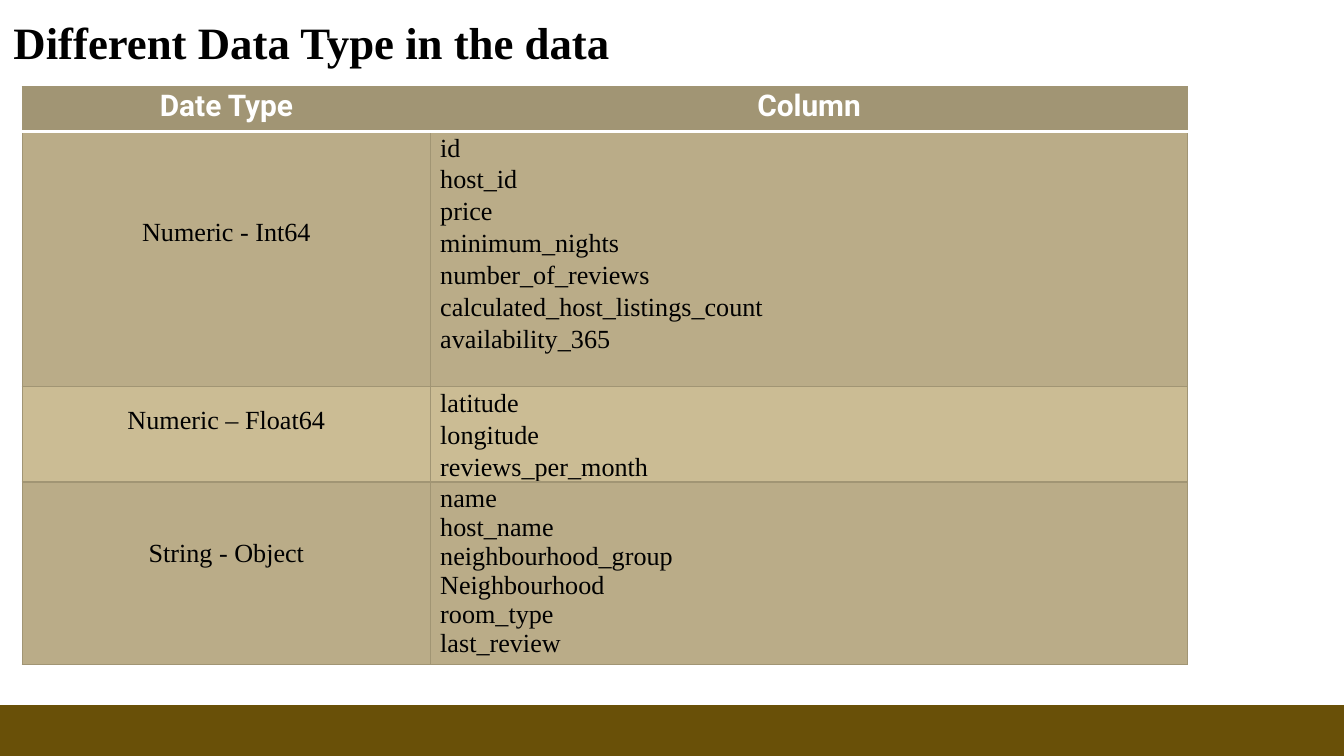
from lxml import etree
from pptx import Presentation
from pptx.dml.color import RGBColor
from pptx.enum import shapes, text
from pptx.oxml import ns
from pptx.util import Cm, Pt

COLORS = {"header": "A19574", "dark": "BAAC88", "light": "CBBC94",
          "bar": "695008", "white": "FFFFFF", "black": "000000"}
TITLE = "Different Data Type in the data"
HEADINGS = ("Date Type", "Column")
# label, label top margin (cm), row height (cm), fill, space between names (pt), names
TYPES = [
    ("Numeric - Int64", 1.64, 4.83, "dark", 1.6,
     ["id", "host_id", "price", "minimum_nights", "number_of_reviews",
      "calculated_host_listings_count", "availability_365"]),
    ("Numeric – Float64", 0.37, 1.8, "light", 1.6,
     ["latitude", "longitude", "reviews_per_month"]),
    ("String - Object", 1.09, 3.45, "dark", 0,
     ["name", "host_name", "neighbourhood_group", "Neighbourhood",
      "room_type", "last_review"]),
]
HEADER_HEIGHT = 0.84
COLUMN_WIDTHS = (7.72, 14.3)


def rgb(name):
    """Return the named colour."""
    return RGBColor.from_string(COLORS[name])


def style(frame, font, size, color, bold, align, gap=0):
    """Format every paragraph and run of a text frame."""
    for paragraph in frame.paragraphs:
        paragraph.alignment = align
        paragraph.space_before = Pt(gap)
        for run in paragraph.runs:
            run.font.name, run.font.size, run.font.bold = font, Pt(size), bold
            run.font.color.rgb = rgb(color)


def add_borders(cell, edges):
    """Draw the given edges, a dict of tag to (colour, width), before the fill."""
    properties = cell._tc.get_or_add_tcPr()
    for place, (edge, (color, width)) in enumerate(edges.items()):
        line = etree.Element(ns.qn(f"a:{edge}"), w=str(Pt(width)))
        fill = etree.SubElement(line, ns.qn("a:solidFill"))
        etree.SubElement(fill, ns.qn("a:srgbClr"), val=COLORS[color])
        properties.insert(place, line)


def fill_cell(cell, words, fill, top, left=0):
    """Set the wording, margins and fill of a cell."""
    cell.text_frame.text = words
    cell.margin_left, cell.margin_top = Cm(left), Cm(top)
    cell.margin_right = cell.margin_bottom = 0
    cell.fill.solid()
    cell.fill.fore_color.rgb = rgb(fill)


def add_types_table(slide):
    """Add the table of data types and their columns."""
    heights = [HEADER_HEIGHT] + [entry[2] for entry in TYPES]
    table = slide.shapes.add_table(
        len(heights), len(COLUMN_WIDTHS), Cm(0.42), Cm(1.64),
        Cm(sum(COLUMN_WIDTHS)), Cm(sum(heights))).table
    for column, width in zip(table.columns, COLUMN_WIDTHS):
        column.width = Cm(width)
    for row, height in zip(table.rows, heights):
        row.height = Cm(height)

    center, left = text.PP_ALIGN.CENTER, text.PP_ALIGN.LEFT
    thin, thick = ("header", 0.79), ("white", 2)
    for index, heading in enumerate(HEADINGS):
        cell = table.cell(0, index)
        fill_cell(cell, heading, "header", 0.05)
        style(cell.text_frame, "Roboto", 16, "white", True, center)
        add_borders(cell, {"lnL": thin, "lnR": thin, "lnT": thin, "lnB": thick})
    for index, (label, top, _, fill, gap, names) in enumerate(TYPES, 1):
        kind, members = table.cell(index, 0), table.cell(index, 1)
        fill_cell(kind, label, fill, top)
        fill_cell(members, "\n".join(names), fill, 0.05, 0.18)
        style(kind.text_frame, "Times New Roman", 14, "black", False, center)
        style(members.text_frame, "Times New Roman", 14, "black", False, left, gap)
        for cell in (kind, members):
            add_borders(cell, {"lnL": thin, "lnR": thin,
                               "lnT": thick if index == 1 else thin, "lnB": thin})


def main():
    """Build the slide and save it."""
    deck = Presentation()
    deck.slide_width, deck.slide_height = Cm(25.4), Cm(14.29)
    slide = deck.slides.add_slide(deck.slide_layouts[5])

    title = slide.shapes.title
    title.left, title.top, title.width, title.height = Cm(0), Cm(0.15), Cm(12.9), Cm(1.27)
    title.text_frame.text = TITLE
    title.text_frame.vertical_anchor = text.MSO_ANCHOR.TOP
    style(title.text_frame, "Times New Roman", 24, "black", True, text.PP_ALIGN.LEFT)

    add_types_table(slide)

    bar_top = Cm(13.33)
    bar = slide.shapes.add_shape(shapes.MSO_SHAPE.RECTANGLE, 0, bar_top,
                                 deck.slide_width, deck.slide_height - bar_top)
    bar.shadow.inherit = False
    bar.fill.solid()
    bar.fill.fore_color.rgb = rgb("bar")
    bar.line.fill.background()

    deck.save("out.pptx")


if __name__ == "__main__":
    main()
